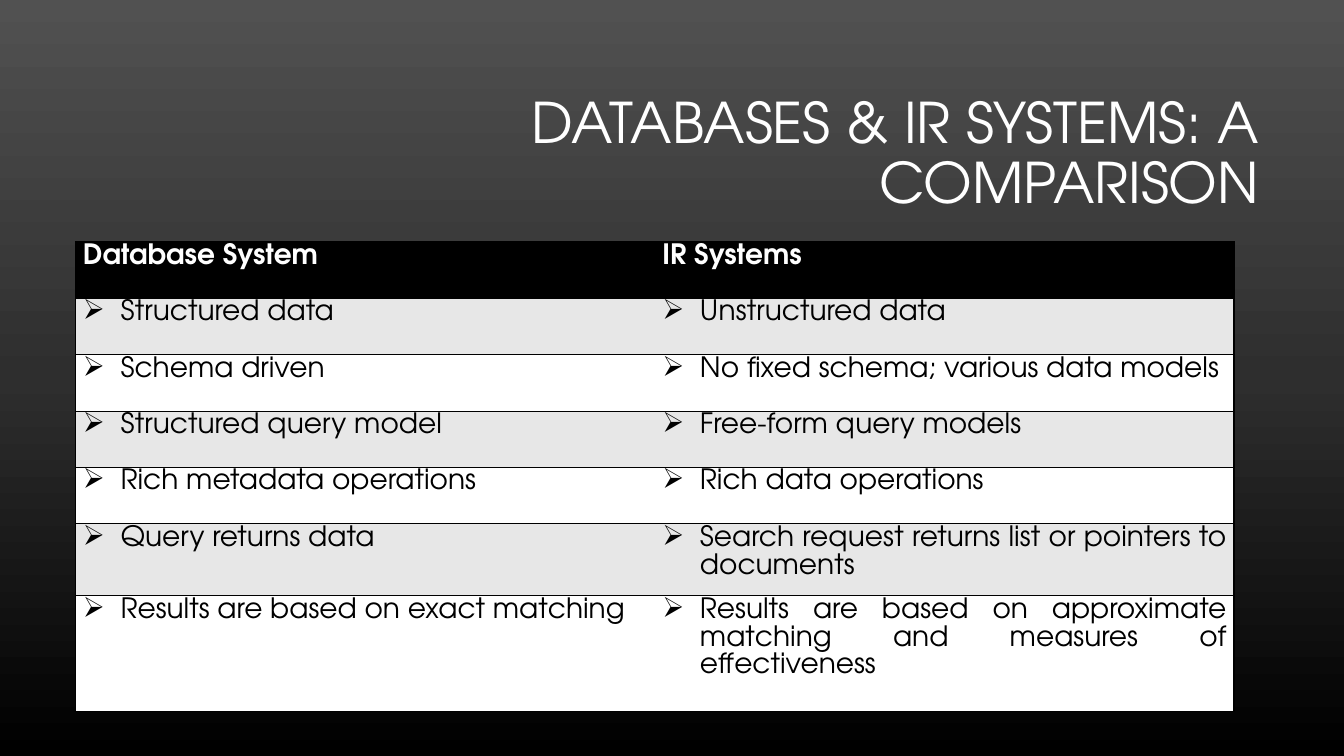
import copy

import pptx
import pptx.dml.color
import pptx.enum.text
import pptx.oxml
import pptx.oxml.ns
import pptx.util
from pptx.util import Cm

FONT = "TeX Gyre Adventor"
DRAWING_NS = pptx.oxml.ns.nsdecls("a")


def rgb(value):
    return pptx.dml.color.RGBColor.from_string(value)


def style_paragraph(paragraph, size, color, align, line_spacing):
    paragraph.font.name = FONT
    paragraph.font.size = pptx.util.Pt(size)
    paragraph.font.color.rgb = rgb(color)
    paragraph.alignment = align
    paragraph.line_spacing = line_spacing


presentation = pptx.Presentation()
presentation.slide_width = Cm(33.87)
presentation.slide_height = Cm(19.05)
slide = presentation.slides.add_slide(presentation.slide_layouts[6])

# Background: dark gradient from top to bottom
backdrop = slide.background.fill
backdrop.gradient()
backdrop.gradient_angle = 270
first_stop = slide.element.find(".//" + pptx.oxml.ns.qn("a:gs"))
first_stop.addnext(copy.deepcopy(first_stop))
shades = [(0, "515151"), (0.5, "2E2E2E"), (1, "000000")]
for stop, (position, shade) in zip(backdrop.gradient_stops, shades):
    stop.position = position
    stop.color.rgb = rgb(shade)

# Title
title = slide.shapes.add_textbox(Cm(8.05), Cm(2.13), Cm(23.93), Cm(3.58)).text_frame
title.word_wrap = True
title.vertical_anchor = pptx.enum.text.MSO_ANCHOR.MIDDLE
title.text = "DATABASES & IR SYSTEMS: A COMPARISON"
style_paragraph(title.paragraphs[0], 40, "FFFFFF", pptx.enum.text.PP_ALIGN.RIGHT, 0.9)

# Comparison table
comparison = [
    ("Database System", "IR Systems"),
    ("Structured data", "Unstructured data"),
    ("Schema driven", "No fixed schema; various data models"),
    ("Structured query model", "Free-form query models"),
    ("Rich metadata operations", "Rich data operations"),
    ("Query returns data", "Search request returns list or pointers to documents"),
    ("Results are based on exact matching",
     "Results are based on approximate matching and measures of effectiveness"),
]
row_heights = [1.42] * 5 + [1.61, 2.92]
table = slide.shapes.add_table(
    len(comparison), 2, Cm(1.9), Cm(6.1), Cm(29.2), Cm(sum(row_heights))
).table

for row, (height, texts) in enumerate(zip(row_heights, comparison)):
    table.rows[row].height = Cm(height)
    is_header = row == 0
    row_fill = "000000" if is_header else ("FFFFFF", "E7E7E7")[row % 2]
    for column, text in enumerate(texts):
        cell = table.cell(row, column)
        cell.margin_left = cell.margin_right = Cm(0.19)
        cell.margin_top = cell.margin_bottom = 0
        cell.text = text
        paragraph = cell.text_frame.paragraphs[0]
        style_paragraph(paragraph, 20, "FFFFFF" if is_header else "000000",
                        pptx.enum.text.PP_ALIGN.JUSTIFY, 1.07)
        paragraph.font.bold = is_header
        if not is_header:
            properties = paragraph._p.get_or_add_pPr()
            properties.set("marL", str(Cm(0.95)))
            properties.set("indent", str(Cm(-0.95)))
            properties.append(pptx.oxml.parse_xml(f'<a:buChar {DRAWING_NS} char="➢"/>'))

        # Outer sides and row rules are drawn, the middle divider is not
        cell_properties = cell._tc.get_or_add_tcPr()
        outer_side = ("lnL", "lnR")[column]
        for side in ("lnL", "lnR", "lnT", "lnB"):
            if side in (outer_side, "lnT", "lnB"):
                line = '<a:solidFill><a:srgbClr val="000000"/></a:solidFill>'
            else:
                line = "<a:noFill/>"
            cell_properties.append(pptx.oxml.parse_xml(
                f'<a:{side} {DRAWING_NS} w="12700">{line}</a:{side}>'))
        cell.fill.solid()
        cell.fill.fore_color.rgb = rgb(row_fill)

presentation.save("out.pptx")
